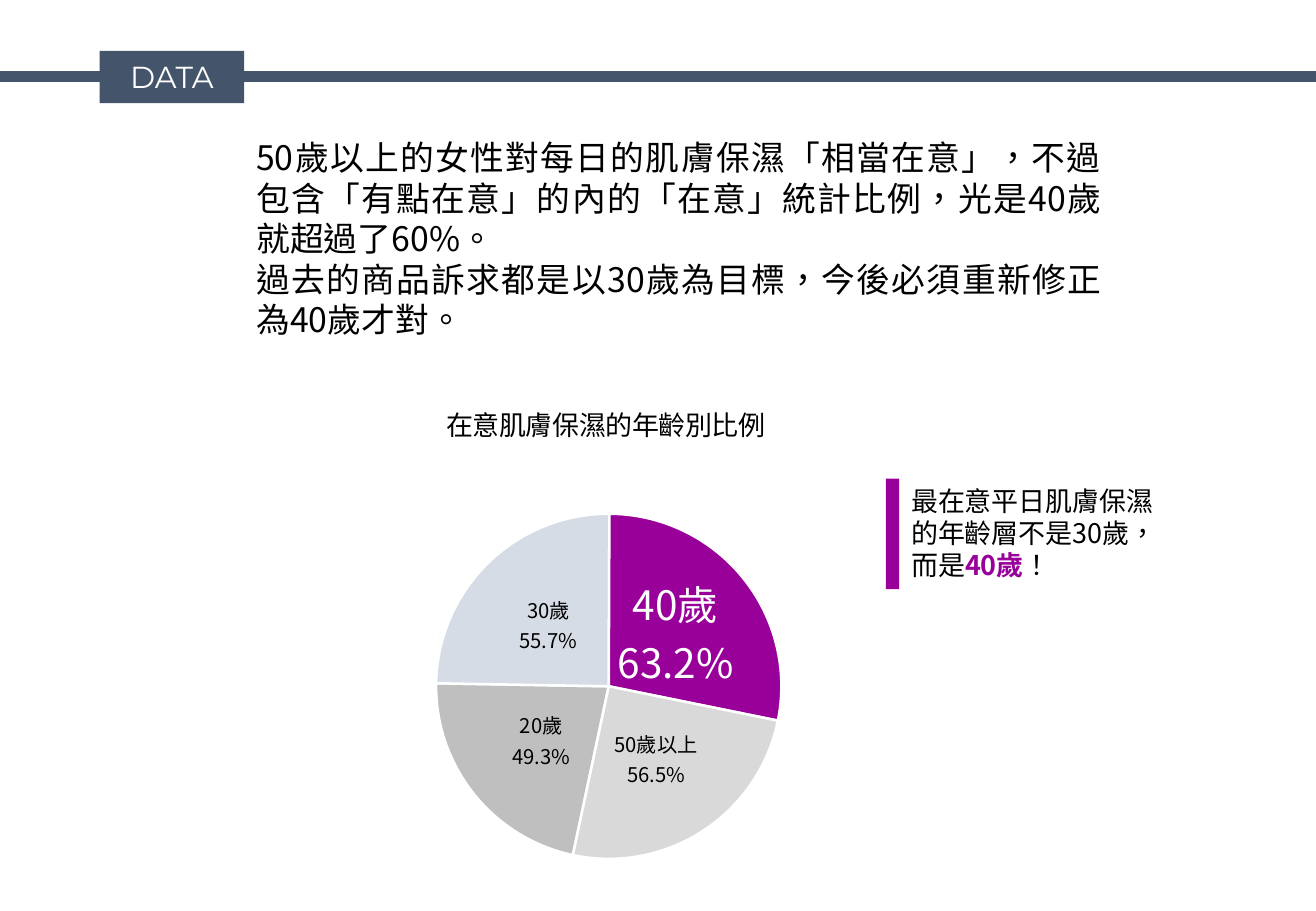
"""Build a slide on how much each age group cares about moisturising skin."""
from typing import NamedTuple

from lxml.etree import SubElement
from pptx import Presentation
from pptx.chart.data import CategoryChartData
from pptx.dml.color import RGBColor
from pptx.enum.chart import XL_CHART_TYPE as ChartType, XL_LABEL_POSITION as LabelPosition
from pptx.enum.shapes import MSO_CONNECTOR as Connector, MSO_SHAPE as Shape
from pptx.enum.text import PP_ALIGN as Align
from pptx.oxml.ns import qn
from pptx.slide import Slide
from pptx.text.text import Font
from pptx.util import Emu, Inches, Pt

WIDTH, HEIGHT = Inches(10.83), Inches(7.5)
SLATE = RGBColor(0x44, 0x54, 0x6A)
PURPLE = RGBColor(0x99, 0x00, 0x99)
PALE_BLUE = RGBColor(0xD6, 0xDC, 0xE5)
MID_GREY = RGBColor(0xBF, 0xBF, 0xBF)
LIGHT_GREY = RGBColor(0xD9, 0xD9, 0xD9)
BLACK = RGBColor(0x00, 0x00, 0x00)
WHITE = RGBColor(0xFF, 0xFF, 0xFF)
CJK_FONT, LATIN_FONT = "Noto Sans CJK SC", "Montserrat"


class Area(NamedTuple):
    """A rectangle in percent of the slide's width and height."""
    left: float
    top: float
    width: float
    height: float

    def lengths(self) -> tuple[Emu, Emu, Emu, Emu]:
        return (across(self.left), down(self.top), across(self.width), down(self.height))


class Span(NamedTuple):
    text: str
    color: RGBColor = BLACK
    bold: bool = False


class Block(NamedTuple):
    area: Area
    color: RGBColor


class AgeGroup(NamedTuple):
    name: str
    share: float
    color: RGBColor


RULE_TOP = 8.4
BLOCKS = [
    Block(Area(7.57, 5.6, 10.99, 5.73), SLATE),
    Block(Area(67.31, 52.53, 1.02, 12.13), PURPLE),
]
BADGE_TEXT = Area(8.77, 5.73, 8.59, 5.33)
BODY = Area(18.56, 14.4, 66.02, 23.73)
CALLOUT = Area(68.33, 52.53, 24.1, 12.13)
CHART = Area(17.36, 40.8, 57.8, 55.73)
CHART_TITLE = "在意肌膚保濕的年齡別比例"
AGE_GROUPS = [
    AgeGroup("20歲", 0.493, MID_GREY),
    AgeGroup("30歲", 0.557, PALE_BLUE),
    AgeGroup("40歲", 0.632, PURPLE),
    AgeGroup("50歲以上", 0.565, LIGHT_GREY),
]
FOCUS = 2
BODY_TEXT = [
    [Span("50歲以上的女性對每日的肌膚保濕「相當在意」，不過包含「有點在意」的內的「在意」統計比例，光是40歲就超過了60%。")],
    [Span("過去的商品訴求都是以30歲為目標，今後必須重新修正為40歲才對。")],
]
CALLOUT_TEXT = [[
    Span("最在意平日肌膚保濕\n的年齡層不是30歲，\n而是"),
    Span("40歲", PURPLE, True),
    Span("！"),
]]


def across(percent: float) -> Emu:
    return Emu(round(WIDTH * percent / 100))


def down(percent: float) -> Emu:
    return Emu(round(HEIGHT * percent / 100))


def style_font(font: Font, size: float, color: RGBColor, name: str = CJK_FONT,
               bold: bool = False) -> None:
    font.size, font.bold, font.name = Pt(size), bold, name
    font.color.rgb = color
    font._rPr.set("lang", "zh-TW")
    SubElement(font._rPr, qn("a:ea")).set("typeface", name)


def add_text(slide: Slide, area: Area, paragraphs: list[list[Span]], *, size: float,
             font: str = CJK_FONT, align: Align = Align.LEFT, wrap: bool = True,
             leading: float | None = None) -> None:
    frame = slide.shapes.add_textbox(*area.lengths()).text_frame
    frame.word_wrap = wrap
    for index, spans in enumerate(paragraphs):
        para = frame.add_paragraph() if index else frame.paragraphs[0]
        para.alignment = align
        if leading:
            para.line_spacing = Pt(leading)
        for span in spans:
            for number, line in enumerate(span.text.split("\n")):
                if number:
                    para.add_line_break()
                run = para.add_run()
                run.text = line
                style_font(run.font, size, span.color, font, span.bold)


def add_block(slide: Slide, block: Block) -> None:
    shape = slide.shapes.add_shape(Shape.RECTANGLE, *block.area.lengths())
    shape.shadow.inherit = False
    shape.fill.solid()
    shape.fill.fore_color.rgb = block.color
    shape.line.fill.background()


def add_rule(slide: Slide) -> None:
    rule = slide.shapes.add_connector(Connector.STRAIGHT, 0, down(RULE_TOP), WIDTH, down(RULE_TOP))
    rule.line.color.rgb = SLATE
    rule.line.width = Pt(6)
    SubElement(rule._element.spPr, qn("a:effectLst"))


def place(parent, index: int, **shares: float) -> None:
    """Put a manual layout, in shares of the chart, into a chart part."""
    for old in parent.findall(qn("c:layout")):
        parent.remove(old)
    layout = parent.makeelement(qn("c:layout"))
    parent.insert(index, layout)
    manual = SubElement(layout, qn("c:manualLayout"))
    if "w" in shares:
        SubElement(manual, qn("c:layoutTarget")).set("val", "inner")
    for axis in "xy":
        SubElement(manual, qn(f"c:{axis}Mode")).set("val", "edge")
    for key, value in shares.items():
        SubElement(manual, qn(f"c:{key}")).set("val", str(value))


def add_age_chart(slide: Slide) -> None:
    data = CategoryChartData(number_format="0.0%")
    data.categories = [group.name for group in AGE_GROUPS]
    data.add_series("Series 1", [group.share for group in AGE_GROUPS])
    chart = slide.shapes.add_chart(ChartType.PIE, *CHART.lengths(), data).chart
    chart.has_legend = False
    style_font(chart.font, 12, BLACK)

    title = chart.chart_title
    para = title.text_frame.paragraphs[0]
    run = para.add_run()
    run.text = CHART_TITLE
    style_font(run.font, 16, BLACK)
    place(title._element, 1, x=0.28, y=0.05)

    plot = chart.plots[0]
    plot.vary_by_categories = True
    SubElement(plot._element, qn("c:firstSliceAng")).set("val", "192")
    place(plot._element.getparent(), 0, x=0.27, y=0.28, w=0.46, h=0.68)

    series = plot.series[0]
    for index, group in enumerate(AGE_GROUPS):
        wedge = series.points[index].format
        wedge.fill.solid()
        wedge.fill.fore_color.rgb = group.color
        wedge.line.color.rgb = WHITE
        wedge.line.width = Pt(1.5)

    labels = series.data_labels
    labels.number_format, labels.number_format_is_linked = "0.0%", False
    labels.show_value = True
    style_font(labels.font, 12, BLACK)
    focus_label = series.points[FOCUS].data_label
    style_font(focus_label.font, 24, WHITE)
    for label in (labels, focus_label):
        label.position = LabelPosition.CENTER
    for flag in labels._element.iter(qn("c:showCatName")):
        flag.set("val", "1")
    for flag in list(labels._element.iter(qn("c:showBubbleSize"))):
        separator = flag.makeelement(qn("c:separator"))
        separator.text = "\n"
        flag.addnext(separator)


def main() -> None:
    deck = Presentation()
    deck.slide_width, deck.slide_height = WIDTH, HEIGHT
    page = deck.slides.add_slide(deck.slide_layouts[6])
    add_age_chart(page)
    add_rule(page)
    for block in BLOCKS:
        add_block(page, block)
    add_text(page, BADGE_TEXT, [[Span("DATA", WHITE)]], size=18, font=LATIN_FONT,
             align=Align.CENTER, wrap=False)
    add_text(page, CALLOUT, CALLOUT_TEXT, size=16, leading=19)
    add_text(page, BODY, BODY_TEXT, size=20, align=Align.JUSTIFY, leading=24)
    deck.save("out.pptx")


if __name__ == "__main__":
    main()
